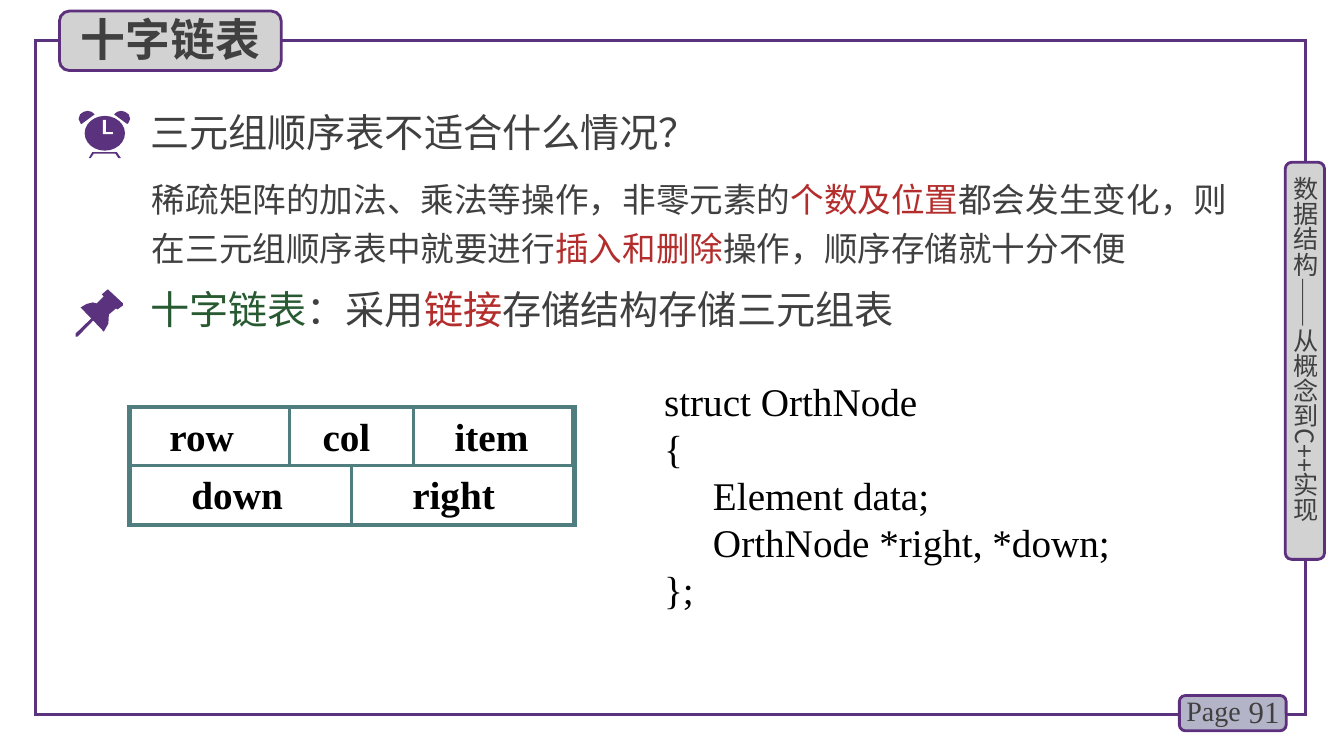
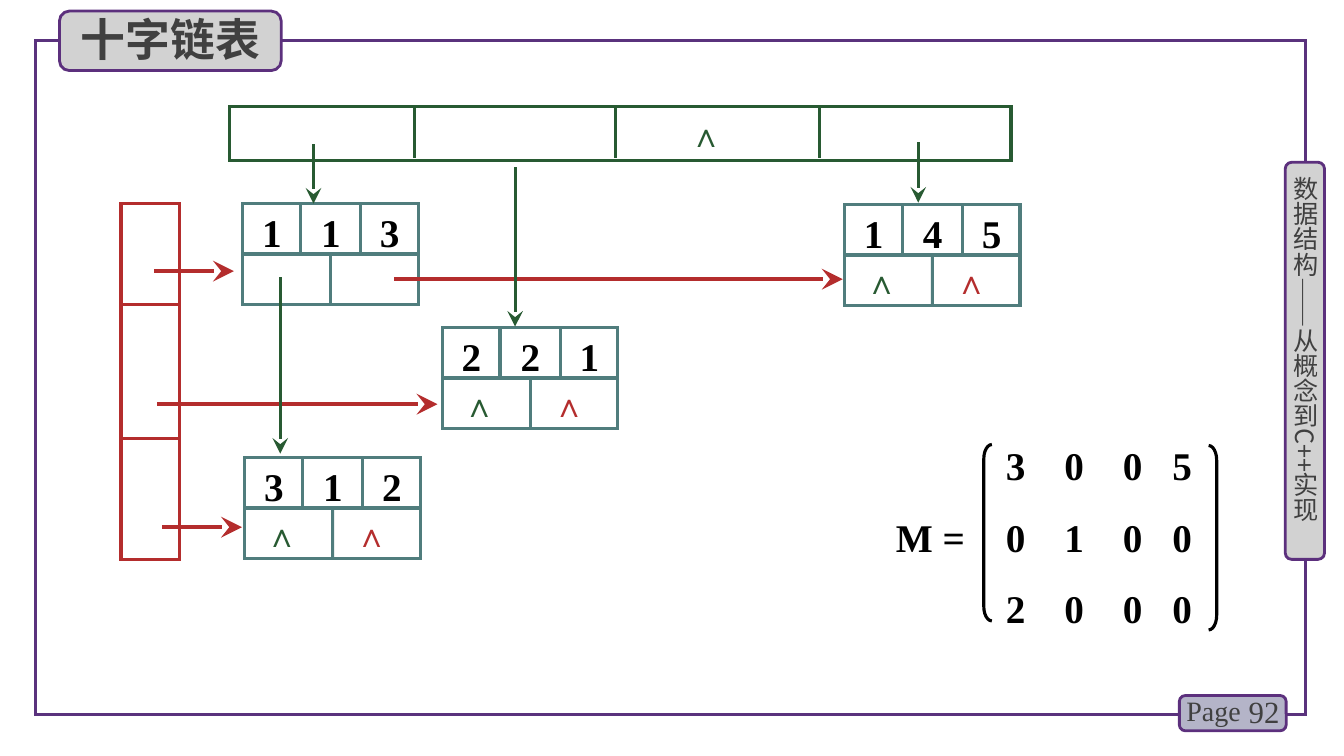
from dataclasses import dataclass
from itertools import accumulate
from typing import NamedTuple, Optional, Sequence

from lxml import etree
from pptx import Presentation
from pptx import util as u
from pptx.dml.color import RGBColor
from pptx.enum import shapes, text
from pptx.oxml import ns

GRID_PER_INCH = 10
Shape = shapes.MSO_SHAPE
Anchor = text.MSO_ANCHOR
Align = text.PP_ALIGN


@dataclass(frozen=True)
class Style:
    size: float
    color: str
    font: str = "Times New Roman"
    bold: bool = False


@dataclass(frozen=True)
class Theme:
    purple: str = "5A327D"
    edge: str = "5C307D"
    plate: str = "D2D2D2"
    page_plate: str = "B4B4C8"
    teal: str = "507D7D"
    green: str = "285A32"
    red: str = "B42D2D"
    ink: str = "404040"
    black: str = "000000"
    white: str = "FFFFFF"
    han: str = "Noto Sans CJK SC"
    thin: float = 2
    rule: float = 2.25
    thick: float = 3
    title: Style = Style(32, ink, han, True)
    heading: Style = Style(28, ink, han)
    body: Style = Style(24, ink, han)
    side: Style = Style(18, ink, han)
    page: Style = Style(20, ink)
    number: Style = Style(22, ink)
    code: Style = Style(28, black)
    value: Style = Style(28, black, bold=True)
    down_null: Style = Style(24, green, bold=True)
    right_null: Style = Style(24, red, bold=True)


T = Theme()
NULL = "∧"


class Box(NamedTuple):
    left: float
    top: float
    width: float
    height: float


class Span(NamedTuple):
    text: str
    color: str = T.ink


class Field(NamedTuple):
    label: str
    width: float
    indent: float


class Node(NamedTuple):
    left: float
    top: float
    values: str
    down: str = ""
    right: str = ""


class Path(NamedTuple):
    x1: float
    y1: float
    x2: float
    y2: float


def grid(cells: float) -> int:
    return u.Inches(cells / GRID_PER_INCH)


def rgb(color: str) -> RGBColor:
    return RGBColor.from_string(color)


def format_run(run, style: Style, color: Optional[str] = None) -> None:
    run.font.size = u.Pt(style.size)
    run.font.bold = style.bold
    run.font.name = style.font
    run.font.color.rgb = rgb(color or style.color)
    east_asian = etree.SubElement(run.font._element, ns.qn("a:ea"))
    east_asian.set("typeface", style.font)


def fill_text(frame, words: str, style: Style, align=Align.LEFT) -> None:
    frame.text = words
    for paragraph in frame.paragraphs:
        paragraph.alignment = align
        for run in paragraph.runs:
            format_run(run, style)


def clear_margins(holder) -> None:
    holder.margin_left = holder.margin_right = 0
    holder.margin_top = holder.margin_bottom = 0


def add_text(slide, box: Box, words: str, style: Style, align=Align.LEFT,
             anchor=Anchor.TOP, wrap: bool = True):
    label = slide.shapes.add_textbox(*map(grid, box))
    label.text_frame.word_wrap = wrap
    label.text_frame.vertical_anchor = anchor
    fill_text(label.text_frame, words, style, align)
    return label


def add_spans(slide, box: Box, spans: Sequence[Span], style: Style):
    label = slide.shapes.add_textbox(*map(grid, box))
    label.text_frame.word_wrap = True
    paragraph = label.text_frame.paragraphs[0]
    for span in spans:
        run = paragraph.add_run()
        run.text = span.text
        format_run(run, style, span.color)
    return paragraph


def paint(figure, fill: Optional[str], line: Optional[str], weight: float):
    figure.shadow.inherit = False
    if fill:
        figure.fill.solid()
        figure.fill.fore_color.rgb = rgb(fill)
    else:
        figure.fill.background()
    if line:
        figure.line.color.rgb = rgb(line)
        figure.line.width = u.Pt(weight)
        corner = etree.SubElement(figure.line._get_or_add_ln(), ns.qn("a:miter"))
        corner.set("lim", "800000")
    else:
        figure.line.fill.background()
    return figure


def add_figure(slide, kind, box: Box, fill: Optional[str] = None,
               line: Optional[str] = None, weight: float = T.rule):
    return paint(slide.shapes.add_shape(kind, *map(grid, box)), fill, line, weight)


def add_polygon(slide, points: Sequence[tuple[float, float]], fill: str) -> None:
    start, *rest = [(grid(x), grid(y)) for x, y in points]
    builder = slide.shapes.build_freeform(*start, scale=1.0)
    builder.add_line_segments(rest, close=True)
    paint(builder.convert_to_shape(), fill, None, 0)


def add_field(slide, box: Box, words: str, indent: float):
    cell = add_figure(slide, Shape.RECTANGLE, box, line=T.teal)
    frame = cell.text_frame
    clear_margins(frame)
    frame.margin_left, frame.margin_top = grid(indent), grid(0.5)
    frame.word_wrap = True
    frame.vertical_anchor = Anchor.TOP
    fill_text(frame, words, T.value)
    return cell


def add_line(slide, path: Path, color: str, weight: float = T.rule):
    line = slide.shapes.add_connector(shapes.MSO_CONNECTOR.STRAIGHT, *map(grid, path))
    line.line.color.rgb = rgb(color)
    line.line.width = u.Pt(weight)
    etree.SubElement(line._element.spPr, ns.qn("a:effectLst"))
    return line


def add_arrow(slide, path: Path, color: str, weight: float) -> None:
    arrow = add_line(slide, path, color, weight)
    head = etree.SubElement(arrow.line._get_or_add_ln(), ns.qn("a:tailEnd"))
    for key, value in (("type", "stealth"), ("w", "lg"), ("len", "lg")):
        head.set(key, value)


def start_slide(prs, title: str, number: int):
    slide = prs.slides.add_slide(prs.slide_layouts[5])
    add_figure(slide, Shape.RECTANGLE, Box(3.5, 4, 126, 66.9), line=T.purple)
    for box, fill in ((Box(117, 69, 10.6, 3.5), T.page_plate),
                      (Box(127.5, 16.1, 3.9, 39.4), T.plate),
                      (Box(5.9, 1.1, 22, 5.9), T.plate)):
        add_figure(slide, Shape.ROUNDED_RECTANGLE, box, fill, T.edge, T.thin)
    add_text(slide, Box(122, 68.6, 5.9, 4), str(number), T.number,
             Align.RIGHT, Anchor.MIDDLE)
    add_text(slide, Box(116.7, 68.3, 7.8, 4.4), "Page", T.page, wrap=False)
    side = add_text(slide, Box(128, 17.5, 3, 37.8),
                    "数据结构——从概念到C++实现", T.side).text_frame
    clear_margins(side)
    side._txBody.bodyPr.set("vert", "eaVert")

    heading = slide.shapes.title
    heading.left, heading.top, heading.width, heading.height = map(
        grid, Box(7, 0.7, 20.9, 6.4))
    heading.text_frame.vertical_anchor = Anchor.TOP
    heading.text_frame.auto_size = text.MSO_AUTO_SIZE.NONE
    fill_text(heading.text_frame, title, T.title)
    slide.shapes._spTree.append(heading._element)
    return slide


def draw_clock(slide) -> None:
    axis = 10.36
    bell = [(8, 12.25), (7.8, 11.8), (7.95, 11.35), (8.3, 11.1), (8.7, 11),
            (9.1, 11.1), (9.4, 11.35), (8.1, 12.3)]
    add_polygon(slide, bell, T.purple)
    add_polygon(slide, [(2 * axis - x, y) for x, y in bell], T.purple)
    add_polygon(slide, [(8.8, 15.7), (9.15, 15.1), (11.6, 15.1), (12, 15.7),
                        (11.75, 15.7), (11.45, 15.25), (9.3, 15.25), (9, 15.7)],
                T.purple)
    add_figure(slide, Shape.OVAL, Box(8.4, 11.5, 4, 3.45), T.purple)
    add_polygon(slide, [(10.2, 11.9), (10.5, 11.9), (10.5, 13.1), (11.2, 13.1),
                        (11.2, 13.3), (10.2, 13.3)], T.white)


def draw_pin(slide) -> None:
    add_polygon(slide, [(12.2, 30.1), (10.7, 28.7), (10.1, 29.2), (10.3, 29.4),
                        (9.6, 30.1), (9.2, 30), (8.6, 30.15), (8, 30.5),
                        (10.3, 32.9), (10.75, 32.1), (10.8, 31.2), (11.5, 30.6),
                        (11.65, 30.7), (12.2, 30.3)], T.purple)
    add_polygon(slide, [(7.5, 33.1), (9.1, 31.55), (9.35, 31.7), (7.7, 33.4),
                        (7.5, 33.4)], T.purple)


def draw_record(slide) -> None:
    left, top, height = 12.9, 40.4, 5.8
    rows = ((Field("row", 15.8, 3.9), Field("col", 12.3, 3.3), Field("item", 15.8, 4.1)),
            (Field("down", 22, 6.1), Field("right", 22, 6)))
    for index, fields in enumerate(rows):
        edges = accumulate((field.width for field in fields), initial=left)
        for field, edge in zip(fields, edges):
            add_field(slide, Box(edge, top + index * height, field.width, height),
                      field.label, field.indent)
    add_figure(slide, Shape.RECTANGLE, Box(12.8, top, 44.2, 11.7),
               line=T.teal, weight=T.thick)


def draw_node(slide, node: Node) -> None:
    width, height = 17.4, 10
    center, middle = node.left + width / 2, node.top + height / 2
    right, bottom = node.left + width, node.top + height
    frame = add_figure(slide, Shape.RECTANGLE, Box(node.left, node.top, width, height),
                       line=T.teal)
    words = frame.text_frame
    clear_margins(words)
    words.margin_left, words.margin_top = grid(1.9), grid(0.5)
    words.vertical_anchor = Anchor.TOP
    fill_text(words, "\t".join(node.values), T.value)
    stops = etree.SubElement(words.paragraphs[0]._p.get_or_add_pPr(), ns.qn("a:tabLst"))
    for stop in (5.85, 11.7):
        tab = etree.SubElement(stops, ns.qn("a:tab"))
        tab.set("pos", str(grid(stop)))
        tab.set("algn", "l")

    divider = add_line(slide, Path(node.left, middle, right, middle), T.teal)
    divider.begin_connect(frame, 1)
    divider.end_connect(frame, 3)
    for offset in (5.7, 11.7):
        x = node.left + offset
        add_line(slide, Path(x, node.top, x, middle + 0.2), T.teal)
    split = add_line(slide, Path(center, middle, center, bottom), T.teal)
    split.end_connect(frame, 2)
    for sign, style, offset in ((node.down, T.down_null, 2), (node.right, T.right_null, 10.9)):
        if sign:
            clear_margins(add_text(slide, Box(node.left + offset, node.top + 5.6, 4.1, 4),
                                   sign, style).text_frame)


def draw_matrix(slide) -> None:
    rows = ("3005", "0100", "2000")
    pitch = 7.1
    widths = (5.8, 5.8, 4.9, 3)
    table = slide.shapes.add_table(
        len(rows), len(widths), *map(grid, Box(99.8, 42.8, sum(widths), pitch * len(rows)))).table
    table.first_row = table.horz_banding = False
    for column, width in zip(table.columns, widths):
        column.width = grid(width)
    for row_index, row in enumerate(rows):
        for column_index, value in enumerate(row):
            cell = table.cell(row_index, column_index)
            cell.fill.background()
            clear_margins(cell)
            cell.vertical_anchor = Anchor.MIDDLE
            fill_text(cell.text_frame, value, T.value)
    add_text(slide, Box(87.9, 50.4, 9, 5.7), "M =", T.value, wrap=False)
    for kind, box, bend in ((Shape.LEFT_BRACKET, Box(97.6, 44.1, 0.8, 17.5), 1.75),
                            (Shape.RIGHT_BRACKET, Box(119.9, 44.2, 0.8, 18.3), 1.83)):
        add_figure(slide, kind, box, line=T.black).adjustments[0] = bend


def draw_concept(prs) -> None:
    slide = start_slide(prs, "十字链表", 91)
    add_text(slide, Box(13.9, 10.3, 72.6, 5.7), "三元组顺序表不适合什么情况？", T.heading)
    draw_clock(slide)
    reason = add_spans(slide, Box(14.1, 16.4, 108.7, 10.8), (
        Span("稀疏矩阵的加法、乘法等操作，非零元素的"), Span("个数及位置", T.red),
        Span("都会发生变化，则在三元组顺序表中就要进行"), Span("插入和删除", T.red),
        Span("操作，顺序存储就十分不便")), T.body)
    reason.line_spacing = u.Pt(35)
    add_spans(slide, Box(13.9, 27.8, 117.3, 5.7), (
        Span("十字链表", T.green), Span("：采用"), Span("链接", T.red),
        Span("存储结构存储三元组表")), T.heading)
    draw_pin(slide)
    draw_record(slide)
    code = "\n".join(("struct OrthNode", "{", "     Element data;",
                      "     OrthNode *right, *down;", "};"))
    add_text(slide, Box(64.9, 36.8, 58.6, 24.6), code, T.code, anchor=Anchor.MIDDLE)


def draw_example(prs) -> None:
    slide = start_slide(prs, "十字链表", 92)
    add_figure(slide, Shape.RECTANGLE, Box(22.8, 10.6, 77.5, 5.3), line=T.green)
    for x in (41.1, 61.1, 81.3):
        add_line(slide, Path(x, 10.7, x, 15.7), T.green)
    add_text(slide, Box(67.4, 10.8, 6, 5), NULL, T.down_null)
    add_figure(slide, Shape.RECTANGLE, Box(12, 20.2, 5.8, 35.3), line=T.red)
    for y in (30.2, 43.5):
        add_line(slide, Path(12, y, 17.8, y), T.red)

    for node in (Node(24.1, 20.2, "113"), Node(24.3, 45.4, "312", NULL, NULL),
                 Node(83.8, 20.3, "145", NULL, NULL),
                 Node(43.9, 32.5, "221", NULL, NULL)):
        draw_node(slide, node)
    for path in (Path(15.3, 26.9, 23.2, 26.9), Path(39.1, 27.7, 83.6, 27.7),
                 Path(15.6, 40.1, 43.4, 40.1), Path(16.1, 52.3, 24, 52.3)):
        add_arrow(slide, path, T.red, T.thick)
    for path in (Path(31.1, 14.3, 31.1, 20.2), Path(51.1, 16.6, 51.1, 32.4),
                 Path(91.1, 14.1, 91.1, 20.1), Path(27.8, 27.5, 27.8, 45)):
        add_arrow(slide, path, T.green, T.rule)
    draw_matrix(slide)


def main() -> None:
    prs = Presentation()
    prs.slide_width, prs.slide_height = grid(133.33), grid(75)
    draw_concept(prs)
    draw_example(prs)
    prs.save("out.pptx")


if __name__ == "__main__":
    main()
